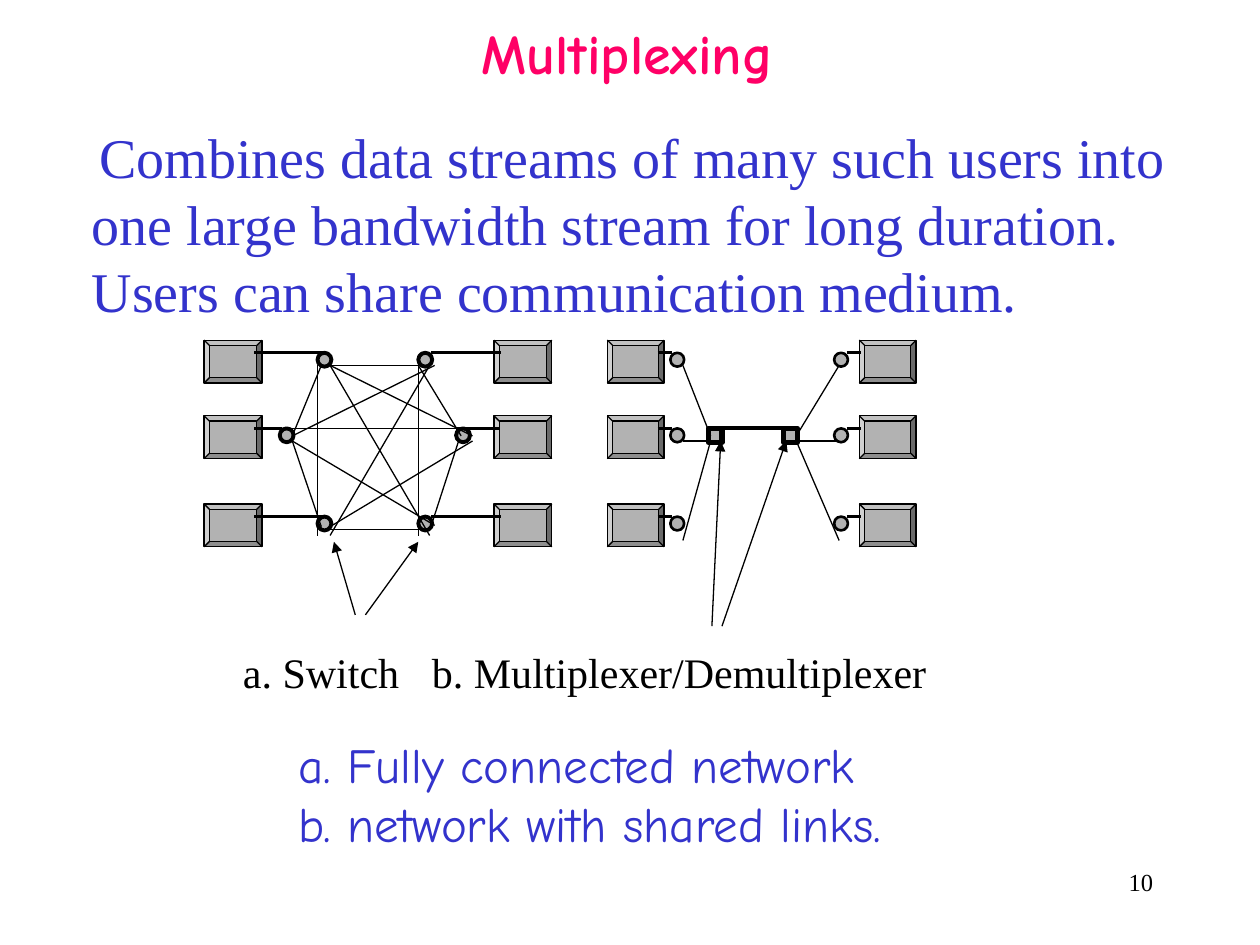
import lxml.etree
import pptx
import pptx.dml.color
import pptx.enum.shapes
import pptx.enum.text
import pptx.oxml.ns
import pptx.util

EMU_PER_PX = 9144
SHAPES = pptx.enum.shapes.MSO_SHAPE
ALIGN = pptx.enum.text.PP_ALIGN
ANCHOR = pptx.enum.text.MSO_ANCHOR

DEVICE_TOPS = (270, 330, 400)
PORT_TOPS = (280, 340, 410)
PORT_SIZE = 11


def px(length):
    return pptx.util.Emu(length * EMU_PER_PX)


def color(hex_string):
    return pptx.dml.color.RGBColor.from_string(hex_string)


def add_xml(parent, tag, **attributes):
    return lxml.etree.SubElement(parent, pptx.oxml.ns.qn(tag), attributes)


def write_text(frame, text, size, font="Times New Roman", fill="000000", bold=False,
               align=ALIGN.LEFT, margin=0, indent=0, tab=None):
    for index, line in enumerate(text.split("\n")):
        paragraph = frame.paragraphs[0] if index == 0 else frame.add_paragraph()
        paragraph.alignment = align
        properties = paragraph._p.get_or_add_pPr()
        properties.set("marL", str(px(margin)))
        properties.set("indent", str(px(indent)))
        if tab:
            stops = add_xml(properties, "a:tabLst")
            add_xml(stops, "a:tab", pos=str(px(tab)), algn="l")
        run = paragraph.add_run()
        run.text = line
        run.font.size = pptx.util.Pt(size)
        run.font.name = font
        run.font.bold = bold
        run.font.color.rgb = color(fill)


class Diagram:
    ink = "000000"
    gray = "B2B2B2"
    blue = "3333CC"
    pink = "FF0066"
    display_font = "Comic Neue"

    def __init__(self, slide):
        self.slide = slide

    def text(self, left, top, width, height, text, size, anchor=ANCHOR.TOP, **style):
        box = self.slide.shapes.add_textbox(px(left), px(top), px(width), px(height))
        frame = box.text_frame
        frame.word_wrap = True
        frame.vertical_anchor = anchor
        write_text(frame, text, size, **style)

    def shape(self, kind, left, top, width, height, weight):
        shape = self.slide.shapes.add_shape(kind, px(left), px(top), px(width), px(height))
        shape.shadow.inherit = False
        shape.fill.solid()
        shape.fill.fore_color.rgb = color(self.gray)
        shape.line.color.rgb = color(self.ink)
        shape.line.width = pptx.util.Pt(weight)
        return shape

    def device(self, left, top, width):
        return self.shape(SHAPES.BEVEL, left, top, width, 34, 0.75)

    def port(self, left, top, weight, kind=SHAPES.OVAL):
        return self.shape(kind, left, top, PORT_SIZE, PORT_SIZE, weight)

    def line(self, x1, y1, x2, y2, weight=0.75, arrow=False):
        line = self.slide.shapes.add_connector(
            pptx.enum.shapes.MSO_CONNECTOR.STRAIGHT, px(x1), px(y1), px(x2), px(y2))
        line.line.color.rgb = color(self.ink)
        line.line.width = pptx.util.Pt(weight)
        if arrow:
            add_xml(line.line._get_or_add_ln(), "a:tailEnd", type="triangle")
        add_xml(line._element.spPr, "a:effectLst")
        return line


def draw_switch_network(diagram):
    for left in (162, 392):
        for top in DEVICE_TOPS:
            diagram.device(left, top, 46)
    leads = ((202, 259, 342, 398), (202, 224, 362, 396), (202, 259, 342, 398))
    for top, (left_start, left_end, right_start, right_end) in zip(PORT_TOPS, leads):
        diagram.line(left_start, top, left_end, top, 1.5)
        diagram.line(right_start, top, right_end, top, 1.5)
    for top, ports in zip(PORT_TOPS, ((252, 332), (222, 362), (252, 332))):
        for left in ports:
            diagram.port(left, top, 2.25)
    mesh = (
        (262, 420, 341, 420), (262, 290, 341, 290), (332, 290, 366, 346),
        (364, 350, 342, 418), (255, 290, 232, 346), (232, 350, 255, 418),
        (332, 290, 332, 425), (252, 290, 252, 425), (262, 290, 375, 346),
        (262, 290, 341, 425), (345, 290, 232, 346), (341, 290, 262, 425),
        (379, 340, 232, 340), (375, 350, 262, 418), (345, 417, 232, 350),
    )
    for link in mesh:
        diagram.line(*link)
    for start, end in ((290, 332), (282, 265)):
        diagram.line(start, 488, end, 430, arrow=True)


def draw_shared_network(diagram):
    for left in (482, 682):
        for top in DEVICE_TOPS:
            diagram.device(left, top, 45)
    diagram.port(562, 340, 3, SHAPES.RECTANGLE)
    demultiplexer = diagram.port(622, 340, 3, SHAPES.RECTANGLE)
    for lead_left, port_left in ((522, 532), (672, 662)):
        for top in PORT_TOPS:
            diagram.line(lead_left, top, lead_left + 11, top, 1.5)
            diagram.port(port_left, top, 1.5)
    for outer, inner in ((542, 564), (666, 632)):
        for start, end in ((290, 346), (350, 350), (429, 350)):
            diagram.line(outer, start, inner, end)
    trunk = diagram.line(628, 340, 572, 340, 2.25)
    trunk.begin_connect(demultiplexer, 0)
    for start, end in ((573, 624), (565, 572)):
        diagram.line(start, 497, end, 350, arrow=True)


def main():
    deck = pptx.Presentation()
    deck.slide_width, deck.slide_height = px(1000), px(750)
    diagram = Diagram(deck.slides.add_slide(deck.slide_layouts[6]))

    diagram.text(58, 0, 850, 83, "Multiplexing", 32, anchor=ANCHOR.MIDDLE,
                 font=diagram.display_font, fill=diagram.pink, bold=True,
                 align=ALIGN.CENTER, margin=30)
    diagram.text(25, 92, 950, 575,
                 "Combines data streams of many such users into one large bandwidth "
                 "stream for long duration. Users can share communication medium.",
                 32, fill=diagram.blue, margin=38, indent=6)
    draw_switch_network(diagram)
    draw_shared_network(diagram)
    diagram.text(183, 508, 667, 50, "a. Switch\tb. Multiplexer/Demultiplexer", 24, tab=208)
    diagram.text(42, 567, 750, 125,
                 "a. Fully connected network\nb. network with shared links.", 28,
                 anchor=ANCHOR.MIDDLE, font=diagram.display_font, fill=diagram.blue,
                 margin=185)
    diagram.text(717, 683, 208, 50, "10", 14, align=ALIGN.RIGHT)
    deck.save("out.pptx")


if __name__ == "__main__":
    main()
